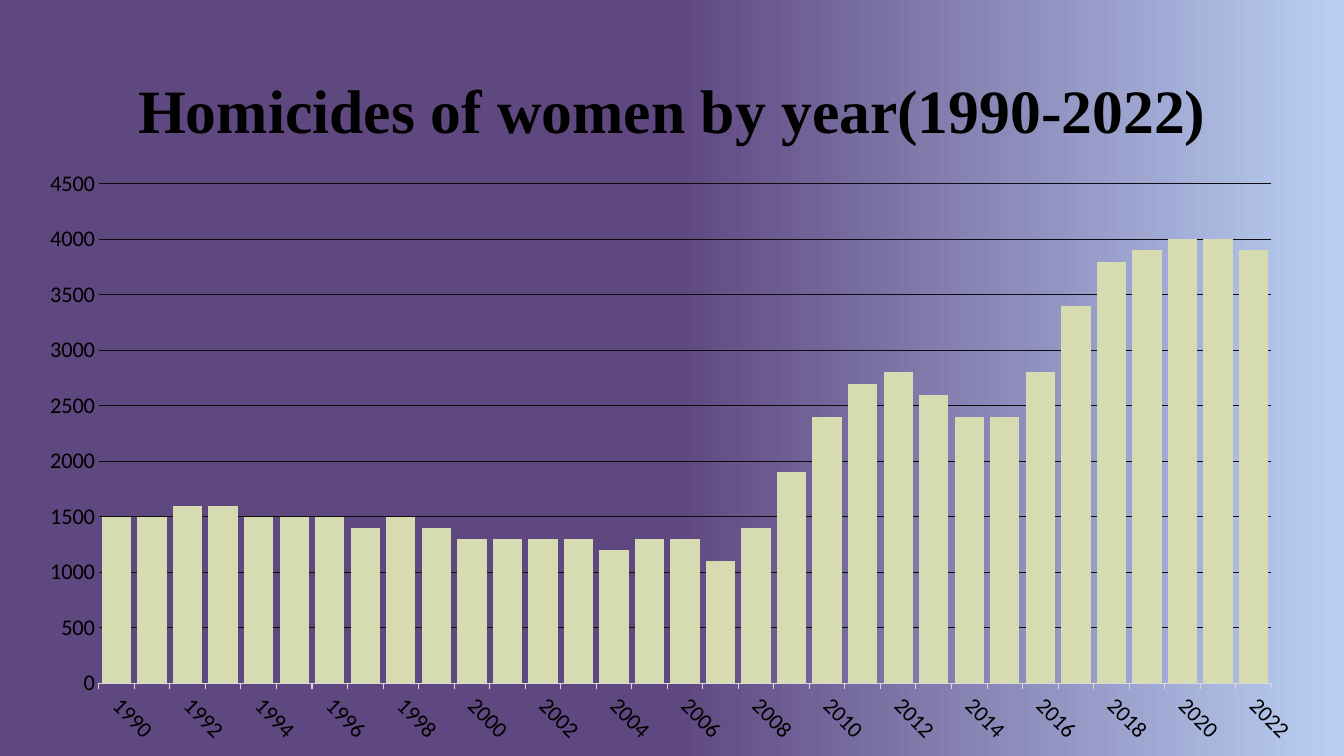
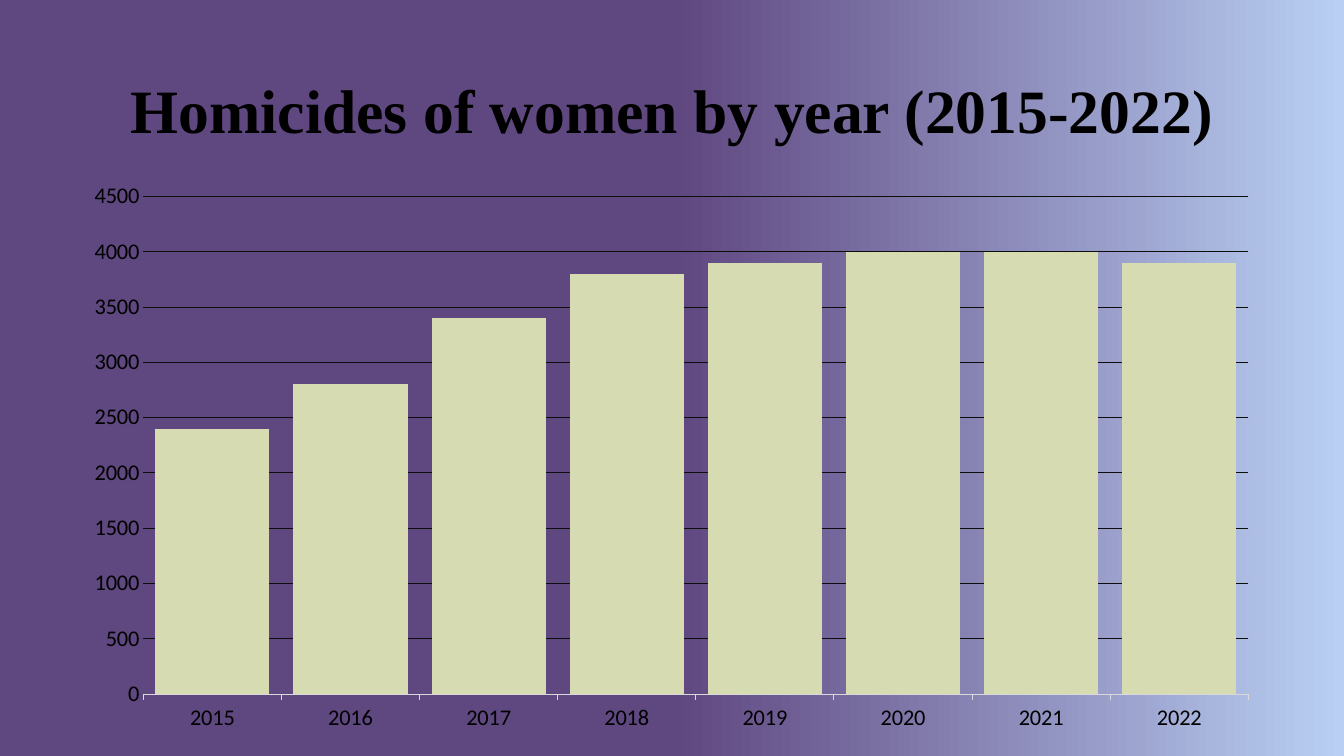
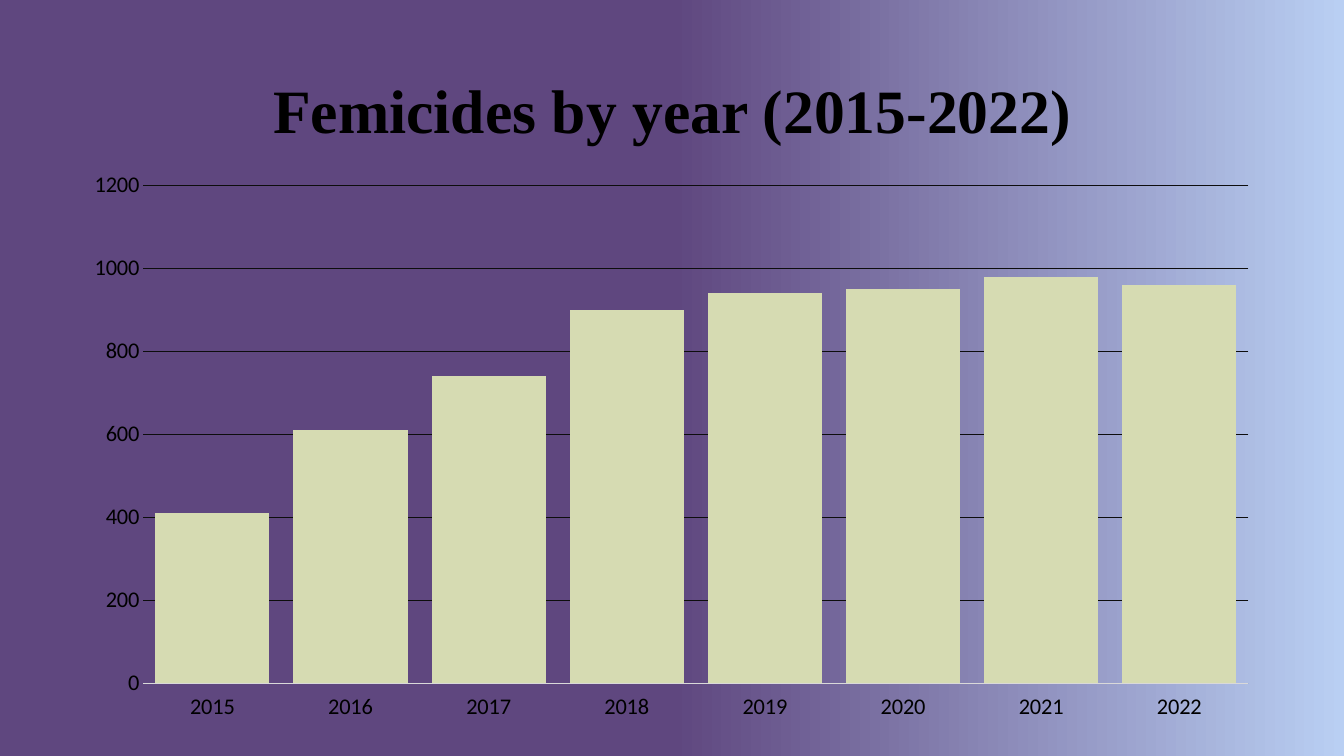
from dataclasses import dataclass

from lxml.etree import SubElement
from pptx import Presentation
from pptx.chart.data import CategoryChartData
from pptx.dml.color import RGBColor
from pptx.enum.chart import XL_CHART_TYPE, XL_TICK_LABEL_POSITION, XL_TICK_MARK
from pptx.enum.text import MSO_ANCHOR, PP_ALIGN
from pptx.oxml.ns import qn
from pptx.util import Inches, Pt


@dataclass(frozen=True)
class Theme:
    purple: RGBColor = RGBColor.from_string("5F477F")
    sky: RGBColor = RGBColor.from_string("B9CFF3")
    bar: RGBColor = RGBColor.from_string("D6DBB2")
    text: RGBColor = RGBColor.from_string("000000")
    grid: RGBColor = RGBColor.from_string("0D0D0D")
    axis: RGBColor = RGBColor.from_string("D9D9D9")
    title_font: str = "Times New Roman"
    chart_font: str = "Calibri"
    title_size: Pt = Pt(44)
    label_size: Pt = Pt(16)
    line: Pt = Pt(0.75)


THEME = Theme()
TITLE_BOX = (0.92, 0.4, 11.5, 1.45)
WIDE_BOX = (0.24, 1.57, 12.86, 5.93)
HOMICIDE_BOX = (0.7, 1.7, 11.92, 5.67)
FEMICIDE_BOX = (0.7, 1.59, 11.92, 5.67)

HOMICIDES = [
    1500, 1500, 1600, 1600, 1500, 1500, 1500, 1400, 1500, 1400, 1300,
    1300, 1300, 1300, 1200, 1300, 1300, 1100, 1400, 1900, 2400, 2700,
    2800, 2600, 2400, 2400, 2800, 3400, 3800, 3900, 4000, 4000, 3900,
]
FEMICIDES = [410, 610, 740, 900, 940, 950, 980, 960]
FIRST_YEAR, FEMICIDE_YEAR = 1990, 2015


def set_font(font, name, size, bold=False):
    font.name, font.size, font.bold = name, size, bold
    font.color.rgb = THEME.text


def paint_background(slide):
    fill = slide.background.fill
    fill.gradient()
    fill.gradient_angle = 0
    stops = ((0.5, THEME.purple), (1, THEME.sky))
    for stop, (position, colour) in zip(fill.gradient_stops, stops):
        stop.position = position
        stop.color.rgb = colour


def add_title(slide, box, text):
    tf = slide.shapes.add_textbox(*map(Inches, box)).text_frame
    tf.word_wrap = True
    tf.vertical_anchor = MSO_ANCHOR.MIDDLE
    p = tf.paragraphs[0]
    p.text = text
    p.alignment = PP_ALIGN.CENTER
    p.line_spacing = 0.9
    set_font(p.font, THEME.title_font, THEME.title_size, bold=True)


def slant_labels(axis, degrees, every):
    """Turn the category labels and show one in every few."""
    ax = axis._element
    ax.find(f"{qn('c:txPr')}/{qn('a:bodyPr')}").set("rot", str(degrees * 60000))
    skip = SubElement(ax, qn("c:tickLblSkip"))
    skip.set("val", str(every))
    ax.find(qn("c:noMultiLvlLbl")).addprevious(skip)


def style_axes(chart, top, step, ticks):
    years, counts = chart.category_axis, chart.value_axis
    for axis in (years, counts):
        axis.major_tick_mark = axis.minor_tick_mark = XL_TICK_MARK.NONE
        set_font(axis.tick_labels.font, THEME.chart_font, THEME.label_size)
    if ticks:
        years.major_tick_mark = XL_TICK_MARK.OUTSIDE
    years.tick_label_position = XL_TICK_LABEL_POSITION.LOW
    years.format.line.color.rgb = THEME.axis
    years.format.line.width = THEME.line

    counts.minimum_scale, counts.maximum_scale = 0, top
    counts.major_unit = step
    counts.format.line.fill.background()
    counts.has_major_gridlines = True
    grid = counts.major_gridlines.format.line
    grid.color.rgb = THEME.grid
    grid.width = THEME.line


def add_year_chart(slide, box, first_year, values, top, step, overlap, ticks):
    data = CategoryChartData()
    data.categories = [str(first_year + i) for i in range(len(values))]
    data.add_series("Series 1", values)
    chart = slide.shapes.add_chart(
        XL_CHART_TYPE.COLUMN_CLUSTERED, *map(Inches, box), data).chart
    chart.has_legend = chart.has_title = False
    set_font(chart.font, THEME.chart_font, THEME.label_size)
    style_axes(chart, top, step, ticks)

    plot = chart.plots[0]
    plot.vary_by_categories = False
    plot.gap_width, plot.overlap = 21, overlap
    fill = plot.series[0].format.fill
    fill.solid()
    fill.fore_color.rgb = THEME.bar
    return chart


def add_chart_slide(prs, title, box, first_year, values, top=4500, step=500,
                    overlap=-27, ticks=True):
    slide = prs.slides.add_slide(prs.slide_layouts[6])
    paint_background(slide)
    add_title(slide, TITLE_BOX, title)
    return add_year_chart(slide, box, first_year, values, top, step, overlap, ticks)


def main():
    prs = Presentation()
    prs.slide_width, prs.slide_height = Inches(13.33), Inches(7.5)

    chart = add_chart_slide(prs, "Homicides of women by year(1990-2022)",
                            WIDE_BOX, FIRST_YEAR, HOMICIDES)
    slant_labels(chart.category_axis, degrees=45, every=2)
    add_chart_slide(prs, "Homicides of women by year (2015-2022)", HOMICIDE_BOX,
                    FEMICIDE_YEAR, HOMICIDES[FEMICIDE_YEAR - FIRST_YEAR:])
    add_chart_slide(prs, "Femicides by year (2015-2022)", FEMICIDE_BOX,
                    FEMICIDE_YEAR, FEMICIDES, top=1200, step=200, overlap=1,
                    ticks=False)
    prs.save("out.pptx")


if __name__ == "__main__":
    main()
